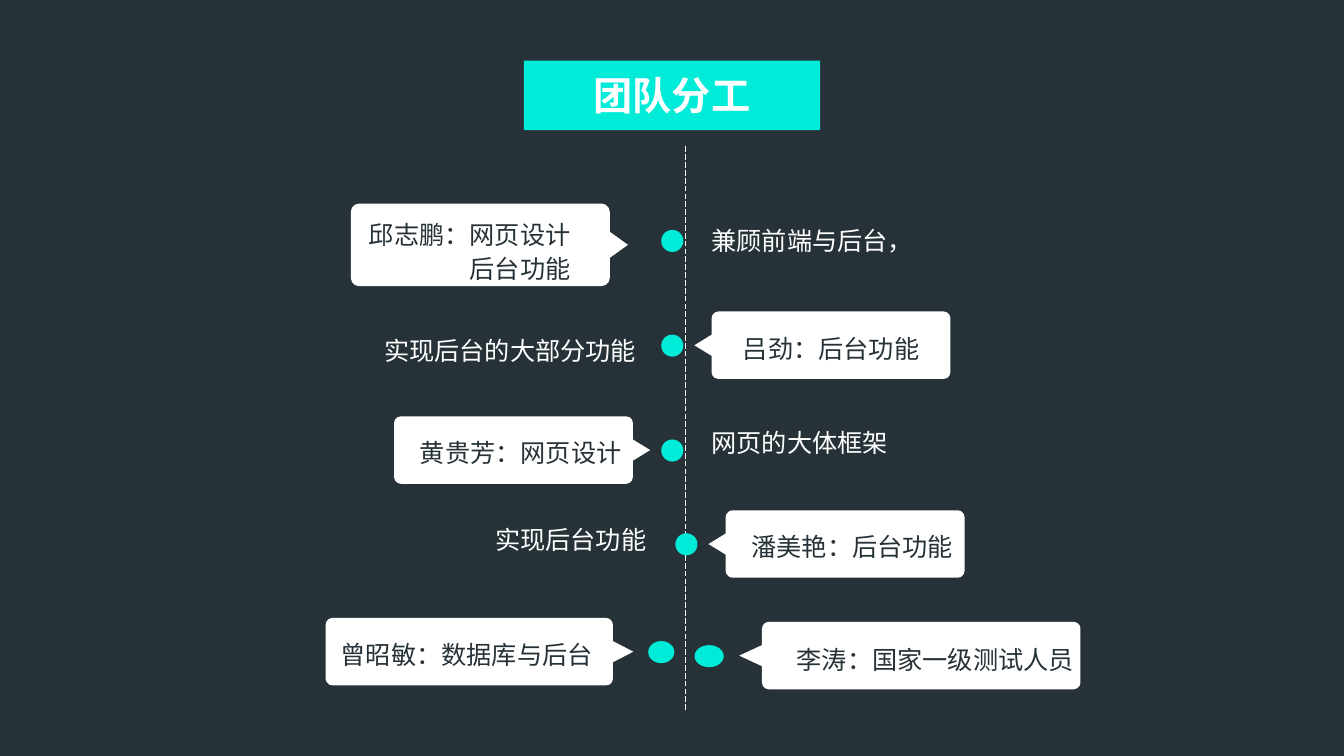
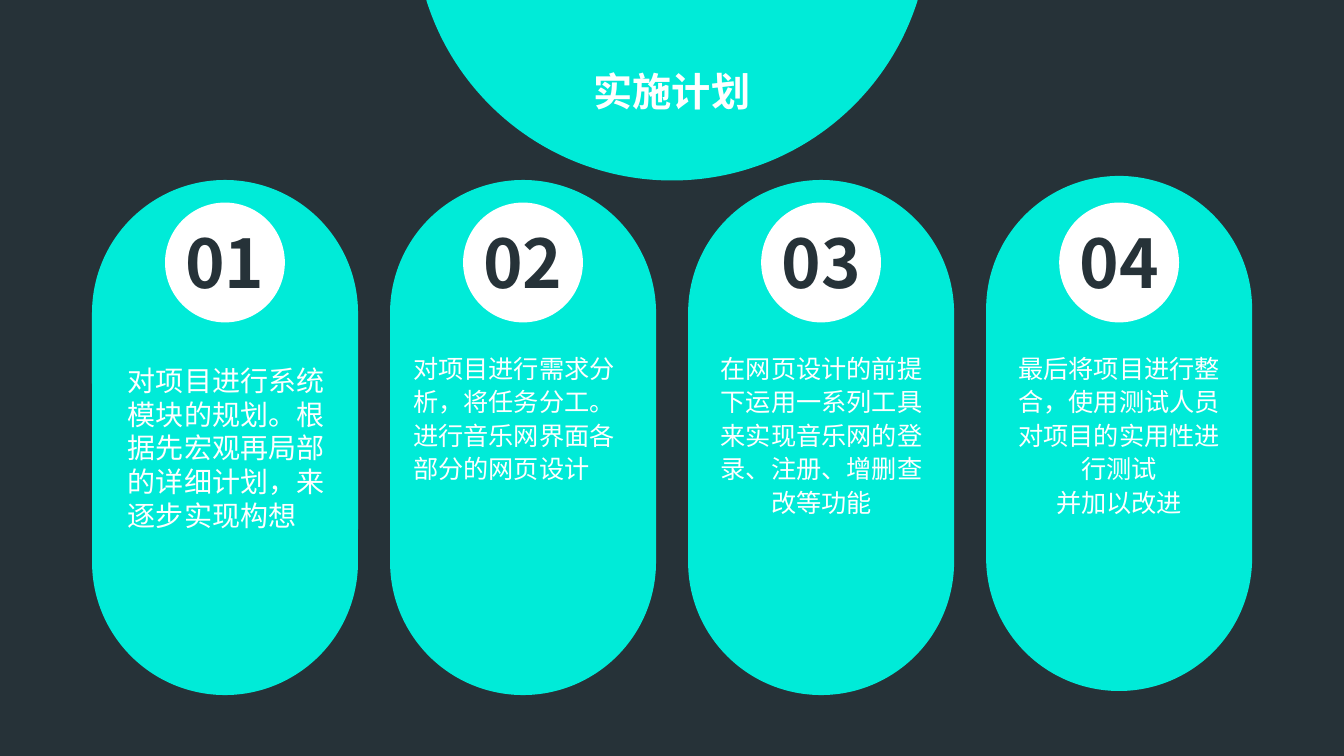
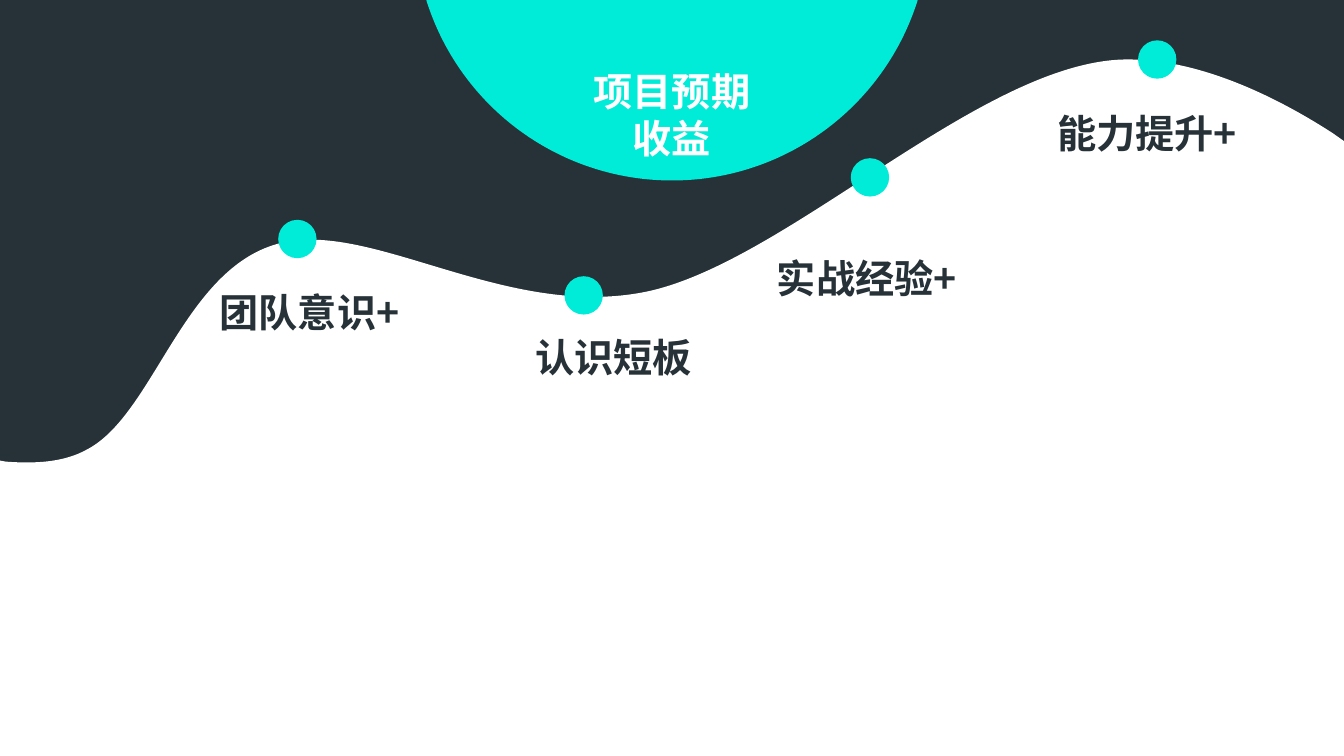
"""Build three slides on team roles, the work plan and the expected gains."""
import pptx
import pptx.dml.color
import pptx.enum.dml
import pptx.enum.shapes
import pptx.enum.text
import pptx.oxml.ns
import pptx.util
from lxml import etree

Pt = pptx.util.Pt
qn = pptx.oxml.ns.qn
SHAPES = pptx.enum.shapes.MSO_SHAPE
ALIGN = pptx.enum.text.PP_ALIGN
ANCHOR = pptx.enum.text.MSO_ANCHOR

COLORS = {"dark": "263238", "accent": "00EBD8", "white": "FFFFFF"}
FONT = "Noto Sans CJK SC"
WIDTH, HEIGHT = 960, 540

CALLOUTS = [
    {"lines": ["邱志鹏：网页设计", "后台功能"], "card": (250.6, 145.4, 185, 59), "points": "right",
     "pointer": (23.8, 16.6), "dot": (472.3, 164.2, 15.8), "text": (250.6, 150.7, 164),
     "align": ALIGN.RIGHT},
    {"lines": ["吕劲：后台功能"], "card": (508.3, 222.5, 170.6, 48.2), "points": "left",
     "pointer": (19.4, 15.8), "dot": (472.3, 239, 15.8), "text": (517.7, 231.8, 151.9),
     "align": ALIGN.CENTER},
    {"lines": ["黄贵芳：网页设计"], "card": (281.5, 297.4, 170.6, 48.2), "points": "right",
     "pointer": (19.4, 15.8), "dot": (472.3, 313.9, 15.8), "text": (290.2, 306.7, 163.4),
     "align": ALIGN.CENTER},
    {"lines": ["潘美艳：后台功能"], "card": (518.4, 364.5, 170.6, 48.2), "points": "left",
     "pointer": (19.4, 15.8), "dot": (482.4, 380.9, 15.8), "text": (528.5, 373.7, 160.6),
     "align": ALIGN.CENTER},
    {"lines": ["曾昭敏：数据库与后台"], "card": (232.6, 441.4, 205.2, 48.2), "points": "right",
     "pointer": (19.4, 18.7), "dot": (463, 457.9, 18.7), "text": (232.6, 450.7, 201.6),
     "align": ALIGN.CENTER},
    {"lines": ["李涛：国家一级测试人员"], "card": (544.3, 444.2, 227.5, 48.2), "points": "left",
     "pointer": (19.4, 20.9), "dot": (496.1, 460.8, 20.9), "text": (554.4, 454.3, 227.5),
     "align": ALIGN.CENTER},
]
NOTES = [
    ("兼顾前端与后台，", 501.1, 154.8, ALIGN.LEFT),
    ("网页的大体框架", 501.1, 299.6, ALIGN.LEFT),
    ("实现后台功能", 121.7, 368.6, ALIGN.RIGHT),
    ("实现后台的大部分功能", 114.5, 233.3, ALIGN.RIGHT),
]
STEPS = [
    {"lines": ["对项目进行系统模块的规划。根据先宏观再局部的详细计划，来逐步实现构想"],
     "middle": 312.5, "text": (84.3, 256.3), "size": 20, "align": ALIGN.LEFT},
    {"lines": ["对项目进行需求分析，将任务分工。", "进行音乐网界面各部分的网页设计"],
     "middle": 312.5, "text": (288, 246.2), "size": 18, "align": ALIGN.LEFT},
    {"lines": ["在网页设计的前提下运用一系列工具来实现音乐网的登录、注册、增删查改等功能"],
     "middle": 312.5, "text": (501.1, 246.2), "size": 18, "align": ALIGN.CENTER},
    {"lines": ["最后将项目进行整合，使用测试人员对项目的实用性进行测试", "并加以改进"],
     "middle": 309.6, "text": (713.6, 246.2), "size": 18, "align": ALIGN.CENTER},
]
GAINS = [
    {"label": "团队意识+", "dot": (198.7, 157), "text": (149.8, 212.3, 152), "spacing": 24},
    {"label": "认识短板", "dot": (403.2, 197.3), "text": (375.3, 234.8, 152), "spacing": None},
    {"label": "实战经验+", "dot": (607.7, 113), "text": (547.9, 177.8, 158.4), "spacing": None},
    {"label": "能力提升+", "dot": (812.9, 28.8), "text": (748.1, 74.9, 157), "spacing": None},
]
WAVE_START = (4.32, 329.76)
WAVE_CURVES = [
    ((25.2, 331.2), (46.08, 330.48), (63.36, 320.4)),
    ((110.16, 294.48), (131.04, 192.96), (198, 174.24)),
    ((264.24, 155.52), (361.44, 229.68), (462.96, 208.08)),
    ((565.2, 185.76), (705.6, 39.6), (808.56, 42.48)),
    ((853.92, 43.2), (905.04, 64.8), (951.84, 95.04)),
]


def rgb(color):
    return pptx.dml.color.RGBColor.from_string(COLORS[color])


def write(frame, lines, size, color, bold=False, align=ALIGN.LEFT, spacing=None):
    frame.word_wrap = True
    frame.auto_size = pptx.enum.text.MSO_AUTO_SIZE.NONE
    for index, line in enumerate(lines):
        paragraph = frame.add_paragraph() if index else frame.paragraphs[0]
        paragraph.alignment = align
        if spacing:
            paragraph.line_spacing = Pt(spacing)
        run = paragraph.add_run()
        run.text = line
        run.font.name = FONT
        run.font.size = Pt(size)
        run.font.bold = bold
        run.font.color.rgb = rgb(color)
        etree.SubElement(run.font._element, qn("a:ea"), typeface=FONT)


def add_text(slide, left, top, width, height, lines, size, color, **style):
    box = slide.shapes.add_textbox(Pt(left), Pt(top), Pt(width), Pt(height))
    write(box.text_frame, lines, size, color, **style)


def paint(shape, color):
    shape.shadow.inherit = False
    shape.fill.solid()
    shape.fill.fore_color.rgb = rgb(color)
    shape.line.fill.background()


def add_shape(slide, kind, left, top, width, height, color, corner=None):
    shape = slide.shapes.add_shape(kind, Pt(left), Pt(top), Pt(width), Pt(height))
    paint(shape, color)
    if corner is not None:
        shape.adjustments[0] = corner
    return shape


def add_title(slide, text, top, width, height):
    title = slide.shapes.title
    title.left, title.top = Pt((WIDTH - width) / 2), Pt(top)
    title.width, title.height = Pt(width), Pt(height)
    title.text_frame.vertical_anchor = ANCHOR.TOP
    write(title.text_frame, [text], 28, "white", bold=True, align=ALIGN.CENTER)
    title.element.getparent().append(title.element)


def add_top_circle(slide):
    diameter = 367.9
    add_shape(slide, SHAPES.OVAL, (WIDTH - diameter) / 2, -239, diameter, diameter, "accent")


def add_callout(slide, callout):
    left, top, width, height = callout["card"]
    base, depth = callout["pointer"]
    points_right = callout["points"] == "right"
    center_x = left + width + 0.28 * depth if points_right else left - 0.28 * depth
    center_y = top + height / 2
    add_shape(slide, SHAPES.ROUNDED_RECTANGLE, left, top, width, height, "white", 0.1)
    pointer = add_shape(slide, SHAPES.ISOSCELES_TRIANGLE, center_x - base / 2,
                        center_y - depth / 2, base, depth, "white")
    pointer.rotation = 90 if points_right else 270
    add_shape(slide, SHAPES.OVAL, *callout["dot"], 15.8, "accent")
    add_text(slide, *callout["text"], 5.5 + 24 * len(callout["lines"]), callout["lines"], 18,
             "dark", align=callout["align"], spacing=24)


def build_team(slide):
    add_shape(slide, SHAPES.RECTANGLE, 374.2, 43.3, 211.6, 49.6, "accent")
    add_title(slide, "团队分工", 47.5, 136, 41)
    for text, left, top, align in NOTES:
        add_text(slide, left, top, 347, 29.5, [text], 18, "white", align=align, spacing=24)
    axis = slide.shapes.add_connector(pptx.enum.shapes.MSO_CONNECTOR.STRAIGHT,
                                      Pt(489.6), Pt(104.6), Pt(489.6), Pt(508.3))
    axis.line.color.rgb = rgb("white")
    axis.line.width = Pt(0.5)
    axis.line.dash_style = pptx.enum.dml.MSO_LINE.LONG_DASH
    etree.SubElement(axis.element.spPr, qn("a:effectLst"))
    for callout in CALLOUTS:
        add_callout(slide, callout)


def build_plan(slide):
    length, thickness, badge, number_width = 367.9, 190, 85.6, 77
    centers = [160.7 + 212.9 * index for index in range(len(STEPS))]
    for center, step in zip(centers, STEPS):
        pill = add_shape(slide, SHAPES.ROUNDED_RECTANGLE, center - length / 2,
                         step["middle"] - thickness / 2, length, thickness, "accent", 0.5)
        pill.rotation = 90
    add_top_circle(slide)
    add_title(slide, "实施计划", 44.6, 193, 41)
    for number, (center, step) in enumerate(zip(centers, STEPS), start=1):
        add_shape(slide, SHAPES.OVAL, center - badge / 2, 144.7, badge, badge, "white")
        add_text(slide, center - number_width / 2, 154.8, number_width, 65.5, [f"{number:02}"],
                 48, "dark", bold=True, align=ALIGN.CENTER)
        add_text(slide, *step["text"], 171.4, 127, step["lines"], step["size"], "white",
                 align=step["align"], spacing=24)


def add_wave(slide):
    corners = [(WIDTH, 100.8), (WIDTH, HEIGHT), (0, HEIGHT)]
    outline = [WAVE_START, *(curve[-1] for curve in WAVE_CURVES), *corners]
    builder = slide.shapes.build_freeform(0, Pt(329))
    builder.add_line_segments([(Pt(x), Pt(y)) for x, y in outline], close=True)
    wave = builder.convert_to_shape()
    paint(wave, "white")
    segments = list(wave.element.iter(qn("a:lnTo")))[1:]
    for segment, (*controls, _) in zip(segments, WAVE_CURVES):
        segment.tag = qn("a:cubicBezTo")
        for position, (x, y) in enumerate(controls):
            point = etree.Element(qn("a:pt"), x=str(Pt(x) - wave.left), y=str(Pt(y) - wave.top))
            segment.insert(position, point)


def build_gains(slide):
    add_wave(slide)
    add_top_circle(slide)
    add_title(slide, "项目预期收益", 44.6, 136, 75)
    for gain in GAINS:
        add_shape(slide, SHAPES.OVAL, *gain["dot"], 27.4, 27.4, "accent")
        add_text(slide, *gain["text"], gain["spacing"] and 32.4 or 41, [gain["label"]], 28, "dark",
                 bold=True, spacing=gain["spacing"])


def main():
    presentation = pptx.Presentation()
    presentation.slide_width, presentation.slide_height = Pt(WIDTH), Pt(HEIGHT)
    background = presentation.slide_master.background.fill
    background.solid()
    background.fore_color.rgb = rgb("dark")
    title_only = presentation.slide_layouts[5]
    for build in (build_team, build_plan, build_gains):
        build(presentation.slides.add_slide(title_only))
    presentation.save("out.pptx")


if __name__ == "__main__":
    main()
